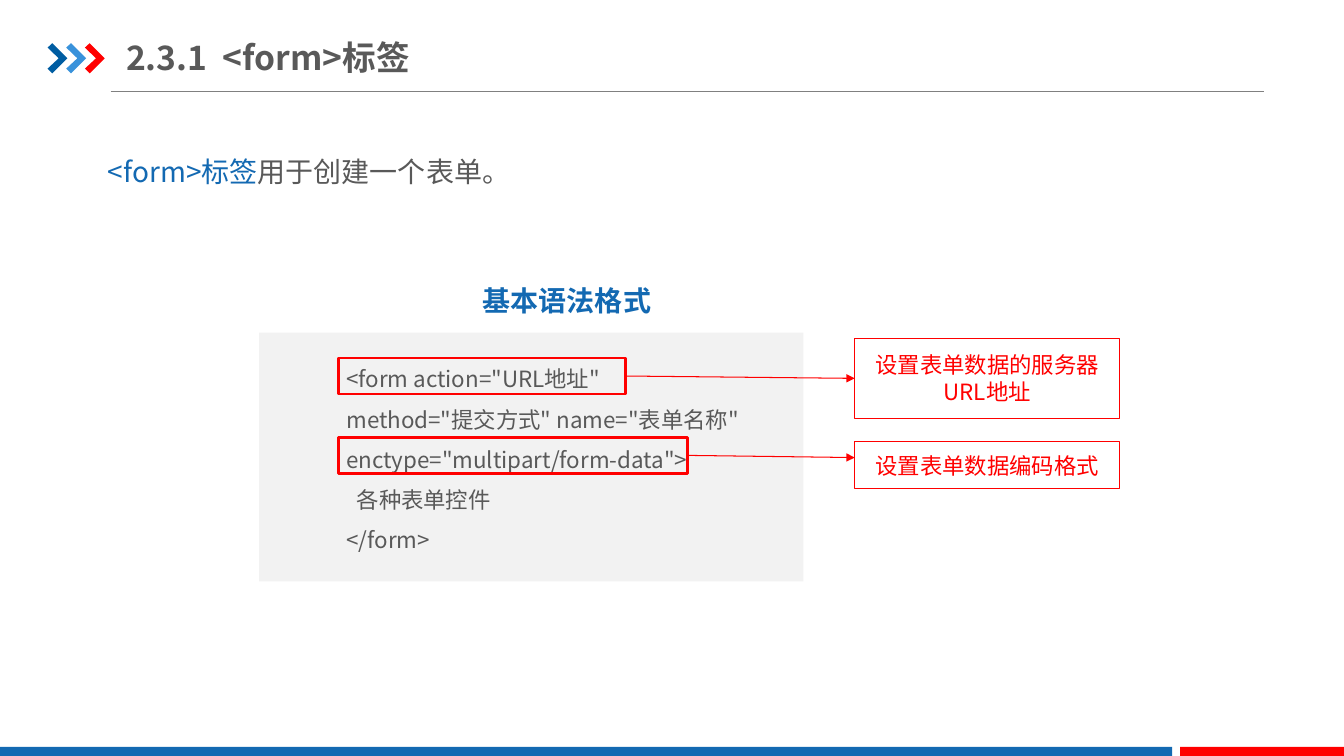
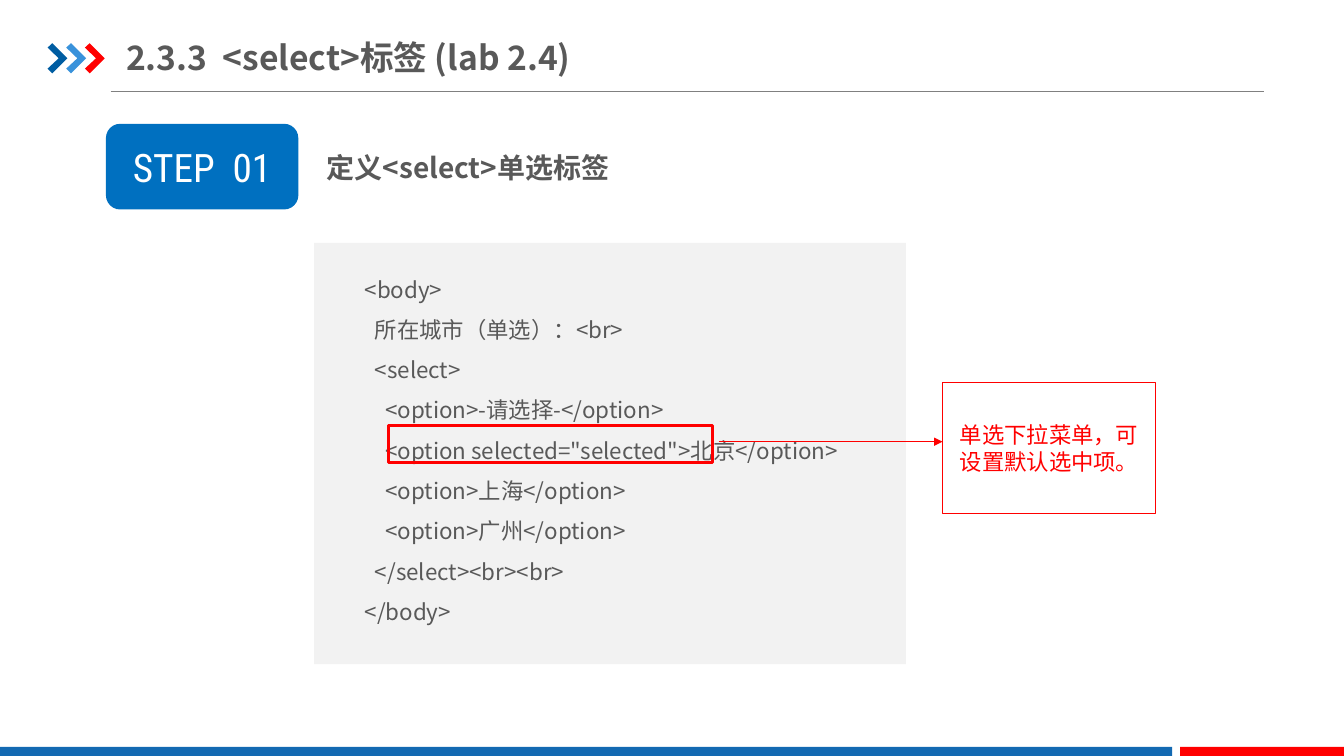
"""Build two lesson slides on the HTML form and select tags."""
from lxml.etree import SubElement
from pptx import Presentation
from pptx.dml.color import RGBColor
from pptx.enum.shapes import MSO_CONNECTOR, MSO_SHAPE
from pptx.enum.text import MSO_ANCHOR, MSO_AUTO_SIZE, PP_ALIGN
from pptx.oxml.ns import qn
from pptx.util import Cm, Pt

BLUE = RGBColor(0x13, 0x69, 0xB2)
NAVY = RGBColor(0x00, 0x5D, 0xA2)
SKY = RGBColor(0x39, 0x92, 0xDB)
STEP = RGBColor(0x00, 0x70, 0xC0)
RED = RGBColor(0xFF, 0x00, 0x00)
DARK = RGBColor(0x59, 0x59, 0x59)
GRAY = RGBColor(0x80, 0x80, 0x80)
PALE = RGBColor(0xF2, 0xF2, 0xF2)
WHITE = RGBColor(0xFF, 0xFF, 0xFF)
SANS = "Noto Sans CJK SC"


def write(frame, text, size=16, color=DARK, bold=False, font=SANS, lead="",
          align=PP_ALIGN.LEFT, anchor=MSO_ANCHOR.TOP, space=1.0, pads=(0.25, 0.13)):
    """Fill a text frame, turning leading spaces into indents."""
    frame.word_wrap = True
    frame.auto_size = MSO_AUTO_SIZE.NONE
    frame.vertical_anchor = anchor
    frame.margin_left = frame.margin_right = Cm(pads[0])
    frame.margin_top = frame.margin_bottom = Cm(pads[1])
    for row, line in enumerate(text.split("\n")):
        para = frame.add_paragraph() if row else frame.paragraphs[0]
        para.alignment = align
        para.line_spacing = space
        words = line.lstrip()
        depth = len(line) - len(words)
        if depth:
            para._p.get_or_add_pPr().set("marL", str(Cm(0.13 * depth)))
        for part, tint in ((lead, BLUE), (words, color)):
            if part:
                run = para.add_run()
                run.text = part
                run.font.size = Pt(size)
                run.font.bold = bold
                run.font.color.rgb = tint
                run.font.name = font
                SubElement(run._r.get_or_add_rPr(), qn("a:ea")).set("typeface", font)


def style(shape, fill=None, line=None, width=0.75):
    """Set fill and outline of a shape and drop its shadow."""
    shape.shadow.inherit = False
    if fill is None:
        shape.fill.background()
    else:
        shape.fill.solid()
        shape.fill.fore_color.rgb = fill
    if line is None:
        shape.line.fill.background()
    else:
        shape.line.color.rgb = line
        shape.line.width = Pt(width)
    return shape


deck = Presentation()
deck.slide_width, deck.slide_height = Cm(33.87), Cm(19.05)
base = deck.slide_layouts[5]
for holder in list(base.placeholders):
    if holder.placeholder_format.idx:
        base.shapes.element.remove(holder.element)
    else:
        holder.left, holder.top, holder.width, holder.height = map(Cm, (3.18, 0.74, 13, 1.4))

form, pick = [deck.slides.add_slide(base) for _ in range(2)]
for slide, title in ((form, "2.3.1  <form>标签"), (pick, "2.3.3  <select>标签 (lab 2.4)")):
    write(slide.shapes.title.text_frame, title, size=24, bold=True,
          anchor=MSO_ANCHOR.MIDDLE, pads=(0, 0.18))

rule = form.shapes.add_connector(MSO_CONNECTOR.STRAIGHT, Cm(2.79), Cm(2.31), Cm(31.85), Cm(2.31))
rule.line.color.rgb = GRAY
rule.line.width = Pt(0.75)
SubElement(rule.element.spPr, qn("a:effectLst"))
shared = [rule]
edge = [(0, 0.11), (0.12, 0), (0.5, 0.38), (0.12, 0.76), (0, 0.64), (0.28, 0.38)]
for col, tint in enumerate((NAVY, SKY, RED)):
    dots = [(Cm(1.2 + 0.47 * col + x), Cm(1.09 + y)) for x, y in edge]
    pen = form.shapes.build_freeform(*dots[0])
    pen.add_line_segments(dots[1:], close=True)
    shared.append(style(pen.convert_to_shape(), tint))
for left, width, tint in ((0, 29.54, BLUE), (29.74, 4.13, RED)):
    bar = form.shapes.add_shape(MSO_SHAPE.RECTANGLE, Cm(left), Cm(18.82), Cm(width), Cm(0.23))
    shared.append(style(bar, tint))
for shape in shared:
    base.shapes.element.append(shape.element)

for slide, place in ((form, (6.53, 8.38, 13.72, 6.27)), (pick, (7.92, 6.12, 14.91, 10.62))):
    style(slide.shapes.add_shape(MSO_SHAPE.RECTANGLE, *map(Cm, place)), PALE)

badge = style(pick.shapes.add_shape(MSO_SHAPE.ROUNDED_RECTANGLE, Cm(2.67), Cm(3.12),
                                    Cm(4.85), Cm(2.16)), STEP)
write(badge.text_frame, "STEP  01", size=28, color=WHITE, font="Roboto Condensed",
      align=PP_ALIGN.CENTER, anchor=MSO_ANCHOR.MIDDLE)

form_code = """<form action="URL地址"
method="提交方式" name="表单名称"
enctype="multipart/form-data">
  各种表单控件
</form>"""
pick_code = """<body>
  所在城市（单选）：<br>
  <select>
    <option>-请选择-</option>
    <option selected="selected">北京</option>
    <option>上海</option>
    <option>广州</option>
  </select><br><br>
</body>"""
texts = [
    (form, (2.39, 3.28, 29.01, 1.47), "用于创建一个表单。",
     dict(size=20, lead="<form>标签", pads=(0.33, 0.18))),
    (form, (6.86, 6.58, 14.86, 1.4), "基本语法格式",
     dict(size=20, color=BLUE, bold=True, align=PP_ALIGN.CENTER)),
    (form, (8.48, 8.74, 11.61, 5.38), form_code, {}),
    (pick, (7.98, 3.25, 20.04, 1.4), "定义<select>单选标签", dict(size=20, bold=True)),
    (pick, (8.94, 6.48, 18.11, 9.5), pick_code, {}),
]
for slide, place, text, look in texts:
    write(slide.shapes.add_textbox(*map(Cm, place)).text_frame, text, space=1.5, **look)

calls = [
    (form, (8.53, 9.02, 7.24, 0.91), (21.54, 8.53, 6.68, 2.01),
     "设置表单数据的服务器URL地址", None, None),
    (form, (8.53, 11.02, 8.79, 0.91), (21.54, 11.13, 6.68, 1.19),
     "设置表单数据编码格式", None, (21.54, 11.53)),
    (pick, (9.8, 10.72, 8.15, 0.94), (23.75, 9.65, 5.38, 3.28),
     "单选下拉菜单，可设置默认选中项。", (18.11, 11.13), (23.75, 11.13)),
]
for slide, spot, place, text, start, end in calls:
    mark = style(slide.shapes.add_shape(MSO_SHAPE.RECTANGLE, *map(Cm, spot)), line=RED, width=2)
    note = style(slide.shapes.add_shape(MSO_SHAPE.RECTANGLE, *map(Cm, place)), line=RED)
    write(note.text_frame, text, color=RED, align=PP_ALIGN.CENTER, anchor=MSO_ANCHOR.MIDDLE)
    ends = (start or (0, 0)) + (end or (0, 0))
    arrow = slide.shapes.add_connector(MSO_CONNECTOR.STRAIGHT, *map(Cm, ends))
    if start is None:
        arrow.begin_connect(mark, 3)
    if end is None:
        arrow.end_connect(note, 1)
    arrow.line.color.rgb = RED
    arrow.line.width = Pt(0.75)
    SubElement(arrow.line._get_or_add_ln(), qn("a:tailEnd")).set("type", "triangle")
    SubElement(arrow.element.spPr, qn("a:effectLst"))

deck.save("out.pptx")
